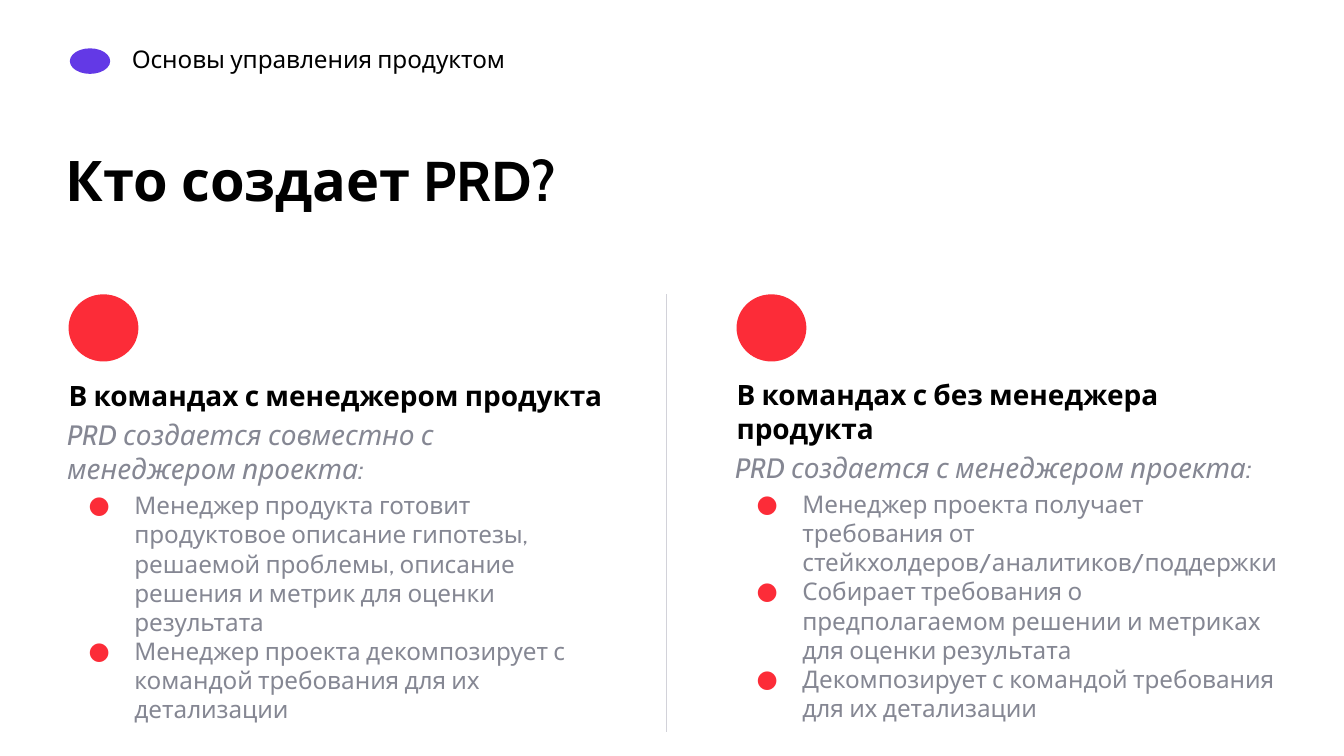
from lxml import etree
from pptx import Presentation
from pptx import util as u
from pptx.dml.color import RGBColor
from pptx.enum import shapes, text
from pptx.oxml.ns import qn

THEME = {
    "font": "Cabin",
    "ink": "000000", "muted": "858793", "accent": "FC2C38",
    "rule": "D2D2D9", "mark": "6339E6", "paper": "FFFFFF",
    "title": 30, "heading": 15, "body": 13,
}
COURSE = "Основы управления продуктом"
TITLE = "Кто создает PRD?"
COLUMNS = [
    {
        "box": (0.5, 2.81, 4.01, 1.27), "dot": 0.51,
        "heading": "В командах с менеджером продукта",
        "lead": "PRD создается совместно с менеджером проекта:",
        "points": [
            "Менеджер продукта готовит продуктовое описание гипотезы, "
            "решаемой проблемы, описание решения и метрик для оценки результата",
            "Менеджер проекта декомпозирует с командой требования для их детализации",
        ],
    },
    {
        "box": (5.47, 2.8, 4.12, 1.72), "dot": 5.48,
        "heading": "В командах с без менеджера продукта",
        "lead": "PRD создается с менеджером проекта:",
        "points": [
            "Менеджер проекта получает требования от "
            "стейкхолдеров/аналитиков/поддержки",
            "Собирает требования о предполагаемом решении и метриках "
            "для оценки результата",
            "Декомпозирует с командой требования для их детализации",
        ],
    },
]
DOT_TOP, DOT_SIZE = 2.19, (0.52, 0.5)
RULE_X, RULE_BOTTOM = 4.96, 5.45
GAP = 2.9


def color(name):
    return RGBColor.from_string(THEME[name])


def place(shape, box):
    shape.left, shape.top, shape.width, shape.height = map(u.Inches, box)


def prepare(shape, insets):
    frame = shape.text_frame
    frame.word_wrap = True
    frame.auto_size = text.MSO_AUTO_SIZE.NONE
    frame.vertical_anchor = text.MSO_ANCHOR.TOP
    frame.margin_left, frame.margin_top, frame.margin_right, frame.margin_bottom = map(
        u.Inches, insets)
    return frame


def write(paragraph, words, size, ink="ink", bold=False, italic=False):
    paragraph.alignment = text.PP_ALIGN.LEFT
    run = paragraph.add_run()
    run.text = words
    font = run.font
    font.name, font.size = THEME["font"], u.Pt(THEME[size])
    font.bold, font.italic = bold, italic
    font.color.rgb = color(ink)


def indent(paragraph, left, first=0):
    properties = paragraph._p.get_or_add_pPr()
    properties.set("marL", str(u.Inches(left)))
    properties.set("indent", str(u.Inches(first)))
    return properties


def add_bullet(paragraph):
    properties = indent(paragraph, 0.5, -0.34)
    bullet_color = etree.SubElement(properties, qn("a:buClr"))
    etree.SubElement(bullet_color, qn("a:srgbClr"), val=THEME["accent"])
    etree.SubElement(properties, qn("a:buFont"), typeface=THEME["font"])
    etree.SubElement(properties, qn("a:buChar"), char="●")


def add_oval(slide, box, fill):
    oval = slide.shapes.add_shape(shapes.MSO_SHAPE.OVAL, *map(u.Inches, box))
    oval.shadow.inherit = False
    oval.fill.solid()
    oval.fill.fore_color.rgb = color(fill)
    oval.line.fill.background()


def add_column(slide, column):
    add_oval(slide, (column["dot"], DOT_TOP, *DOT_SIZE), "accent")
    box = slide.shapes.add_textbox(*map(u.Inches, column["box"]))
    frame = prepare(box, (0, 0.01, 0, 0))
    heading = frame.paragraphs[0]
    indent(heading, 0.01)
    write(heading, column["heading"], "heading", bold=True)
    lead = frame.add_paragraph()
    lead.space_before = u.Pt(GAP)
    write(lead, column["lead"], "heading", "muted", italic=True)
    for number, point in enumerate(column["points"]):
        paragraph = frame.add_paragraph()
        add_bullet(paragraph)
        if number == 0:
            paragraph.space_before = u.Pt(GAP)
        write(paragraph, point, "body", "muted")


def main():
    presentation = Presentation()
    presentation.slide_width = u.Inches(10)
    presentation.slide_height = presentation.slide_width * 9 // 16
    slide = presentation.slides.add_slide(presentation.slide_layouts[5])
    slide.background.fill.solid()
    slide.background.fill.fore_color.rgb = color("paper")

    title = slide.shapes.title
    place(title, (0.49, 1.07, 6.55, 0.49))
    write(prepare(title, (0, 0.01, 0, 0)).paragraphs[0], TITLE, "title", bold=True)

    add_oval(slide, (0.52, 0.36, 0.3, 0.19), "mark")
    course = slide.shapes.add_textbox(*map(u.Inches, (0.94, 0.29, 5.91, 0.25)))
    paragraph = prepare(course, (0.04,) * 4).paragraphs[0]
    paragraph.line_spacing = 1.01
    write(paragraph, COURSE, "body")

    for column in COLUMNS:
        add_column(slide, column)

    rule = slide.shapes.add_connector(
        shapes.MSO_CONNECTOR.STRAIGHT,
        *map(u.Inches, (RULE_X, DOT_TOP, RULE_X, RULE_BOTTOM)))
    rule.line.color.rgb = color("rule")
    rule.line.width = u.Pt(0.82)
    etree.SubElement(rule._element.spPr, qn("a:effectLst"))

    presentation.save("out.pptx")


if __name__ == "__main__":
    main()
